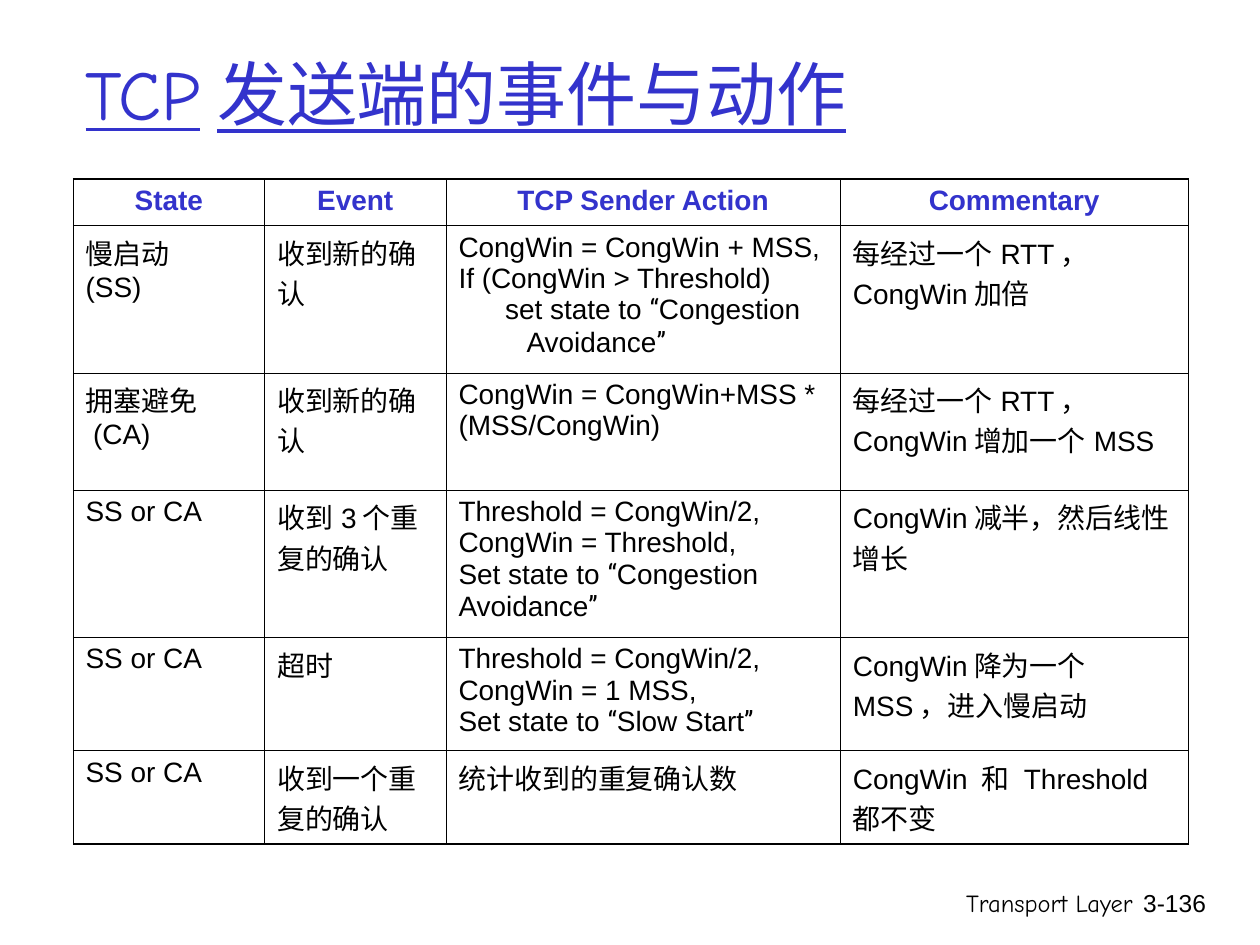
from itertools import groupby

from lxml import etree
from pptx import Presentation
from pptx.dml.color import RGBColor
from pptx.enum.text import MSO_ANCHOR, MSO_AUTO_SIZE, PP_ALIGN
from pptx.oxml.ns import qn
from pptx.util import Inches, Pt

LEFT, CENTER, RIGHT = PP_ALIGN.LEFT, PP_ALIGN.CENTER, PP_ALIGN.RIGHT
MIDDLE, NO_AUTOFIT = MSO_ANCHOR.MIDDLE, MSO_AUTO_SIZE.NONE

COLORS = {"heading": "3333CC", "text": "000000"}
BODY_FONT, HAND_FONT = "Arial", "Comic Neue"
QUOTE_FONT, SERIF_FONT = "Roboto Condensed", "Times New Roman"
QUOTES = "“”"

TITLE = "TCP发送端的事件与动作"
HEADERS = ["State", "Event", "TCP Sender Action", "Commentary"]

# A cell is a list of paragraphs; an indented one is (text, left margin, first line).
ROWS = [
    [["慢启动", "(SS)"],
     ["收到新的确认"],
     ["CongWin = CongWin + MSS,",
      "If (CongWin > Threshold)",
      ("set state to “Congestion Avoidance”", 0.54, -0.17)],
     ["每经过一个RTT，CongWin加倍"]],
    [["拥塞避免", ("(CA)", 0.06, 0)],
     ["收到新的确认"],
     ["CongWin = CongWin+MSS * (MSS/CongWin)"],
     ["每经过一个RTT，CongWin增加一个MSS"]],
    [["SS or CA"],
     ["收到3个重复的确认"],
     ["Threshold = CongWin/2,",
      "CongWin = Threshold,",
      "Set state to “Congestion Avoidance”"],
     ["CongWin减半，然后线性增长"]],
    [["SS or CA"],
     ["超时"],
     ["Threshold = CongWin/2,",
      "CongWin = 1 MSS,",
      "Set state to “Slow Start”"],
     ["CongWin降为一个MSS，进入慢启动"]],
    [["SS or CA"],
     ["收到一个重复的确认"],
     ["统计收到的重复确认数"],
     ["CongWin 和 Threshold 都不变"]],
]
SERIF_CELLS = {(2, 1), (5, 1)}

COLUMN_WIDTHS = [1.52, 1.44, 3.13, 2.76]
ROW_HEIGHTS = [0.37, 1.17, 0.93, 1.17, 0.9, 0.74]
TABLE_LEFT, TABLE_TOP = 0.58, 1.42
SIDE_LINE, ROW_LINE, OUTER_LINE = 0.34, 0.45, 0.96

# text, left, width, font
FOOTERS = [
    ("Transport Layer", 5.92, 3.17, HAND_FONT),
    ("3-136", 8.93, 0.74, BODY_FONT),
]
FOOTER_TOP, FOOTER_HEIGHT = 7, 0.5


def style_font(font, name, size, color="text", bold=False):
    font.name = name
    font.size = Pt(size)
    font.bold = bold
    font.color.rgb = RGBColor.from_string(COLORS[color])


def set_borders(cell, top, bottom):
    properties = cell._tc.get_or_add_tcPr()
    widths = {"a:lnL": SIDE_LINE, "a:lnR": SIDE_LINE, "a:lnT": top, "a:lnB": bottom}
    for tag, width in widths.items():
        line = etree.SubElement(properties, qn(tag), w=str(Pt(width)))
        fill = etree.SubElement(line, qn("a:solidFill"))
        etree.SubElement(fill, qn("a:srgbClr"), val=COLORS["text"])


def fill_paragraph(paragraph, content, name, color, bold):
    """Write one cell paragraph, giving curly quotes their own font."""
    text, margin, first_line = content if isinstance(content, tuple) else (content, 0, 0)
    if margin:
        properties = paragraph._p.get_or_add_pPr()
        properties.set("marL", str(Inches(margin)))
        properties.set("indent", str(Inches(first_line)))
    for is_quote, letters in groupby(text, lambda letter: letter in QUOTES):
        run = paragraph.add_run()
        run.text = "".join(letters)
        style_font(run.font, QUOTE_FONT if is_quote else name, 16, color, bold)


def add_title(slide):
    title = slide.shapes.title
    title.left, title.top = Inches(0.58), Inches(0.22)
    title.width, title.height = Inches(8.5), Inches(1.03)
    frame = title.text_frame
    frame.text = TITLE
    frame.auto_size = NO_AUTOFIT
    frame.vertical_anchor = MIDDLE
    paragraph = frame.paragraphs[0]
    paragraph.alignment = LEFT
    font = paragraph.runs[0].font
    style_font(font, HAND_FONT, 40, "heading")
    font.underline = True


def add_event_table(slide):
    cells = [[[header] for header in HEADERS]] + ROWS
    last = len(cells) - 1
    table = slide.shapes.add_table(
        len(cells), len(HEADERS), Inches(TABLE_LEFT), Inches(TABLE_TOP),
        Inches(sum(COLUMN_WIDTHS)), Inches(sum(ROW_HEIGHTS))).table
    table.first_row = table.horz_banding = False
    for column, width in zip(table.columns, COLUMN_WIDTHS):
        column.width = Inches(width)
    for row, height in zip(table.rows, ROW_HEIGHTS):
        row.height = Inches(height)

    for row_index, row in enumerate(cells):
        is_header = row_index == 0
        for column_index, contents in enumerate(row):
            cell = table.cell(row_index, column_index)
            set_borders(cell, OUTER_LINE if is_header else ROW_LINE,
                        OUTER_LINE if row_index == last else ROW_LINE)
            cell.fill.background()
            frame = cell.text_frame
            name = SERIF_FONT if (row_index, column_index) in SERIF_CELLS else BODY_FONT
            for index, content in enumerate(contents):
                paragraph = frame.add_paragraph() if index else frame.paragraphs[0]
                paragraph.alignment = CENTER if is_header else LEFT
                fill_paragraph(paragraph, content, name,
                               "heading" if is_header else "text", is_header)


def add_footers(slide):
    for text, left, width, name in FOOTERS:
        box = slide.shapes.add_textbox(Inches(left), Inches(FOOTER_TOP),
                                       Inches(width), Inches(FOOTER_HEIGHT))
        frame = box.text_frame
        frame.word_wrap = True
        frame.text = text
        frame.paragraphs[0].alignment = RIGHT
        style_font(frame.paragraphs[0].runs[0].font, name, 14)


def main():
    presentation = Presentation()
    presentation.slide_width, presentation.slide_height = Inches(10), Inches(7.5)
    slide = presentation.slides.add_slide(presentation.slide_layouts[5])
    add_footers(slide)
    add_title(slide)
    add_event_table(slide)
    presentation.save("out.pptx")


if __name__ == "__main__":
    main()
